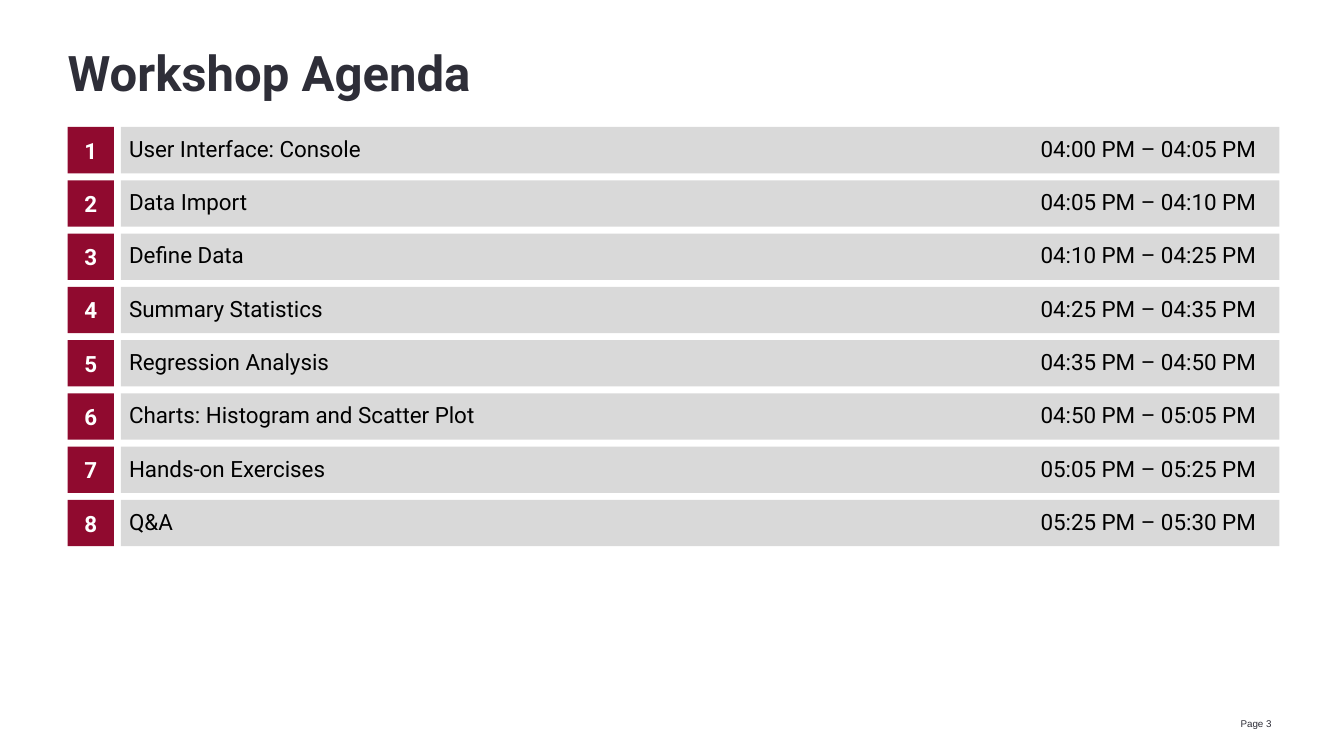
"""Build the workshop agenda slide with numbered, timed rows."""
from pptx import Presentation
from pptx.dml.color import RGBColor
from pptx.enum.shapes import MSO_SHAPE
from pptx.enum.text import MSO_ANCHOR as Anchor, PP_ALIGN as Align
from pptx.util import Inches, Pt

INK = RGBColor(0x2E, 0x2E, 0x38)
BLACK = RGBColor(0x00, 0x00, 0x00)
WHITE = RGBColor(0xFF, 0xFF, 0xFF)
CRIMSON = RGBColor(0x90, 0x0A, 0x2F)
GREY = RGBColor(0xD9, 0xD9, 0xD9)

AGENDA = [
    ("User Interface: Console", "04:00 PM – 04:05 PM"),
    ("Data Import", "04:05 PM – 04:10 PM"),
    ("Define Data", "04:10 PM – 04:25 PM"),
    ("Summary Statistics", "04:25 PM – 04:35 PM"),
    ("Regression Analysis", "04:35 PM – 04:50 PM"),
    ("Charts: Histogram and Scatter Plot", "04:50 PM – 05:05 PM"),
    ("Hands-on Exercises", "05:05 PM – 05:25 PM"),
    ("Q&A", "05:25 PM – 05:30 PM"),
]
FIRST_TOP, LAST_TOP, ROW_HEIGHT = 1.26, 4.96, 0.46
PITCH = (LAST_TOP - FIRST_TOP) / (len(AGENDA) - 1)

presentation = Presentation()
presentation.slide_width = Inches(13.33)
presentation.slide_height = Inches(7.5)
slide = presentation.slides.add_slide(presentation.slide_layouts[6])


def add_text(text, left, top, width, height, fill=None, size=16, font="Roboto",
             color=BLACK, bold=False, align=Align.LEFT, anchor=Anchor.TOP,
             inset_left=0, inset_y=0, spacing=None):
    """Add text in a plain box, or in a filled rectangle when fill is given."""
    bounds = [Inches(length) for length in (left, top, width, height)]
    if fill is None:
        shape = slide.shapes.add_textbox(*bounds)
    else:
        shape = slide.shapes.add_shape(MSO_SHAPE.RECTANGLE, *bounds)
        shape.shadow.inherit = False
        shape.fill.solid()
        shape.fill.fore_color.rgb = fill
        shape.line.fill.background()
    frame = shape.text_frame
    frame.word_wrap = True
    frame.vertical_anchor = anchor
    frame.margin_left, frame.margin_right = Inches(inset_left), 0
    frame.margin_top = frame.margin_bottom = Inches(inset_y)
    paragraph = frame.paragraphs[0]
    paragraph.alignment = align
    paragraph.line_spacing = spacing
    if text:
        run = paragraph.add_run()
        run.text = text
        run.font.name = font
        run.font.size = Pt(size)
        run.font.bold = bold
        run.font.color.rgb = color


add_text("Page 3", 11.89, 7.08, 0.72, 0.2, size=7, font="Arial", color=INK,
         align=Align.RIGHT, anchor=Anchor.MIDDLE)
add_text("Workshop Agenda", 0.67, 0.34, 9.75, 0.67, size=35, color=INK,
         bold=True, anchor=Anchor.BOTTOM, spacing=0.85)

for index, (topic, time_slot) in enumerate(AGENDA):
    top = FIRST_TOP + index * PITCH
    add_text("", 1.2, top, 11.49, ROW_HEIGHT, fill=GREY)
    add_text(str(index + 1), 0.67, top, 0.46, ROW_HEIGHT, fill=CRIMSON,
             color=WHITE, bold=True, align=Align.CENTER, anchor=Anchor.MIDDLE)
    add_text(topic, 1.2, top, 5.08, ROW_HEIGHT, inset_left=0.08, inset_y=0.08)
    add_text(time_slot, 10.32, top, 2.29, ROW_HEIGHT, inset_y=0.08)

presentation.save("out.pptx")
